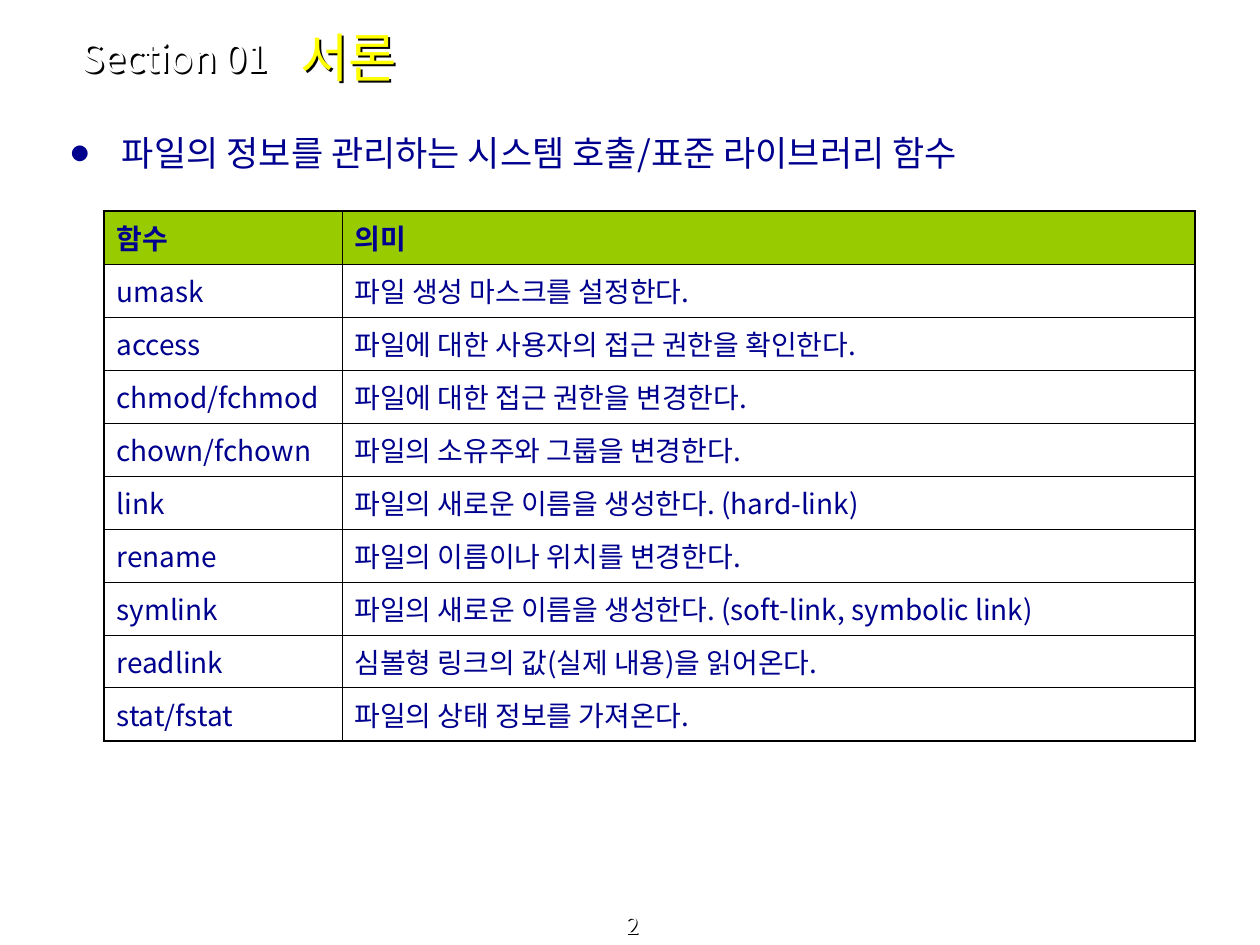
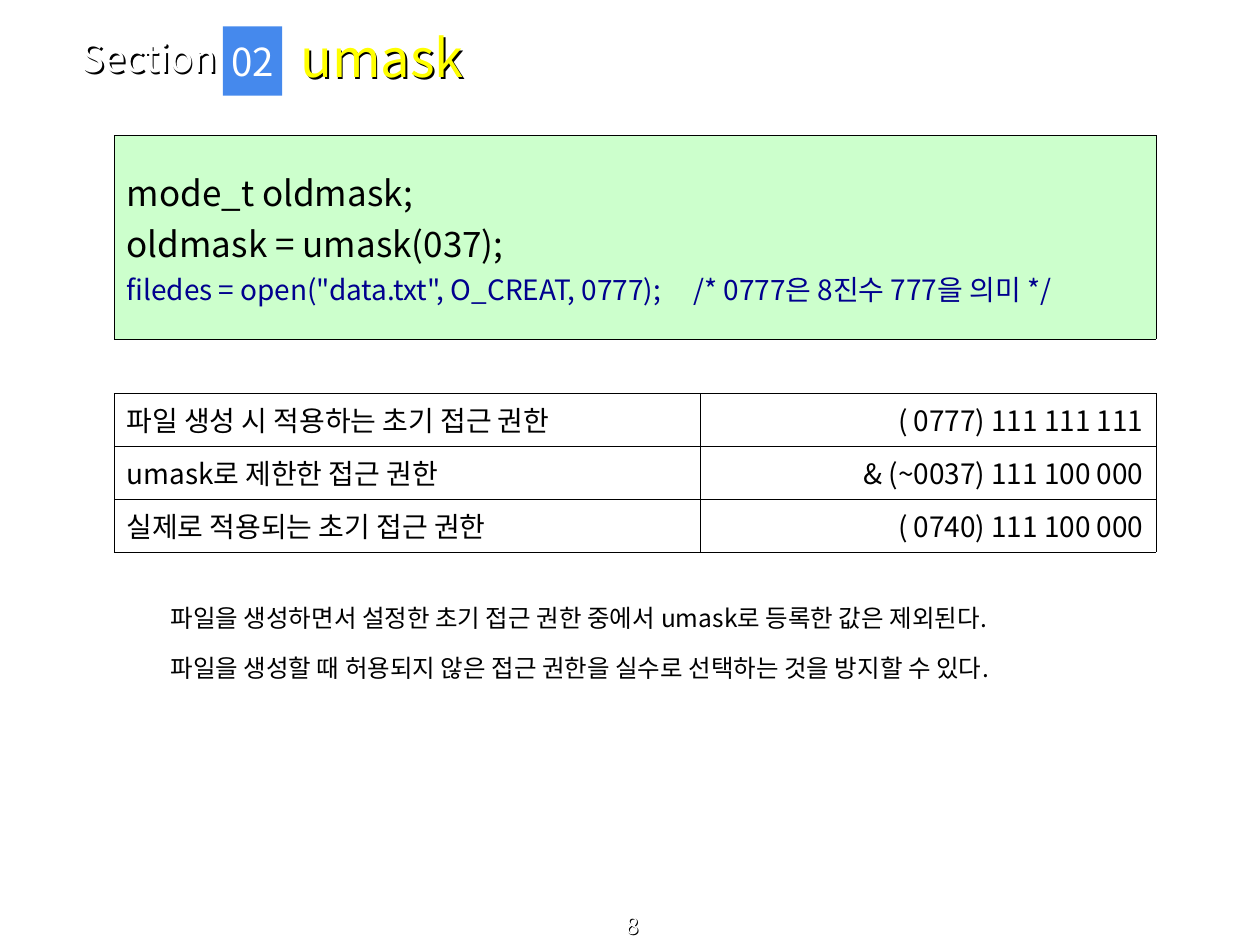
from dataclasses import dataclass
from typing import NamedTuple

from lxml import etree
from pptx import Presentation
from pptx.dml.color import RGBColor
from pptx.enum.shapes import MSO_SHAPE
from pptx.enum.text import MSO_ANCHOR, PP_ALIGN
from pptx.oxml import parse_xml
from pptx.oxml.ns import nsdecls, qn
from pptx.util import Emu, Inches, Pt

RECT = MSO_SHAPE.RECTANGLE
TOP, MID, LOW = MSO_ANCHOR.TOP, MSO_ANCHOR.MIDDLE, MSO_ANCHOR.BOTTOM
LEFT, MIDDLE = PP_ALIGN.LEFT, PP_ALIGN.CENTER
RIGHT, JUST = PP_ALIGN.RIGHT, PP_ALIGN.JUSTIFY

WIDE, HIGH = Inches(10), Inches(7.5)
FACE = "Noto Sans CJK KR"
WHITE, BLACK, NAVY, YELLOW = "FFFFFF", "000000", "00008E", "FFFF00"
LIME, MINT, BLUE = "99CC00", "CCFFCC", "4589ED"


class Box(NamedTuple):
    """Place on the slide, in percent of its width and height."""
    left: float
    top: float
    wide: float
    high: float


@dataclass(frozen=True)
class Style:
    size: float
    color: str = BLACK
    bold: bool = False
    align: PP_ALIGN = LEFT
    lead: float = 1.0
    gap: float = 0  # points between paragraphs


@dataclass(frozen=True)
class Line:
    text: str
    style: Style


@dataclass(frozen=True)
class Grid:
    """A table: column widths and row height in percent, rules in points."""
    left: float
    top: float
    cols: tuple[float, ...]
    row: float
    outer: float
    inner: float
    anchor: MSO_ANCHOR


LABEL = Style(22, WHITE)
TITLE = Style(30, YELLOW)
PAGE = Style(13, WHITE, align=MIDDLE)
BADGE = Style(22, WHITE, align=MIDDLE)
POINT = Style(20, NAVY)
HEAD = Style(16, NAVY, bold=True)
ITEM = Style(16, NAVY)
CODE = Style(20, align=JUST)
OPEN = Style(16, NAVY, align=JUST)
NAME = Style(16, align=JUST)
BITS = Style(16, align=RIGHT)
NOTE = Style(14, lead=1.5, gap=3.5)

CALLS = [
    ("umask", "파일 생성 마스크를 설정한다."),
    ("access", "파일에 대한 사용자의 접근 권한을 확인한다."),
    ("chmod/fchmod", "파일에 대한 접근 권한을 변경한다."),
    ("chown/fchown", "파일의 소유주와 그룹을 변경한다."),
    ("link", "파일의 새로운 이름을 생성한다. (hard-link)"),
    ("rename", "파일의 이름이나 위치를 변경한다."),
    ("symlink", "파일의 새로운 이름을 생성한다. (soft-link, symbolic link)"),
    ("readlink", "심볼형 링크의 값(실제 내용)을 읽어온다."),
    ("stat/fstat", "파일의 상태 정보를 가져온다."),
]
MODES = [
    ("파일 생성 시 적용하는 초기 접근 권한", "( 0777) 111 111 111"),
    ("umask로 제한한 접근 권한", "& (~0037) 111 100 000"),
    ("실제로 적용되는 초기 접근 권한", "( 0740) 111 100 000"),
]


def rgb(code: str) -> RGBColor:
    return RGBColor.from_string(code)


def across(share: float) -> Emu:
    return Emu(round(WIDE * share / 100))


def down(share: float) -> Emu:
    return Emu(round(HIGH * share / 100))


def place(box: Box) -> tuple[Emu, Emu, Emu, Emu]:
    return across(box.left), down(box.top), across(box.wide), down(box.high)


def assign(target, values: dict) -> None:
    for name, value in values.items():
        setattr(target, name, value)


def dress(run, style: Style) -> None:
    assign(run.font, {"name": FACE, "size": Pt(style.size), "bold": style.bold})
    run.font.color.rgb = rgb(style.color)
    run.font._element.find(qn("a:latin")).addnext(
        parse_xml(f'<a:ea {nsdecls("a")} typeface="{FACE}"/>'))


def write(frame, lines: list[Line]) -> None:
    for index, line in enumerate(lines):
        para = frame.add_paragraph() if index else frame.paragraphs[0]
        assign(para, {"alignment": line.style.align,
                      "line_spacing": line.style.lead,
                      "space_before": Pt(line.style.gap if index else 0)})
        run = para.add_run()
        run.text = line.text
        dress(run, line.style)


def add_text(slide, box: Box, lines: list[Line], anchor: MSO_ANCHOR = TOP):
    shape = slide.shapes.add_textbox(*place(box))
    assign(shape.text_frame, {"word_wrap": True, "vertical_anchor": anchor})
    write(shape.text_frame, lines)
    return shape


def add_shadow(shape) -> None:
    """Cast a dark shadow from the letters of an unfilled box."""
    shape._element.spPr.append(parse_xml(
        f'<a:effectLst {nsdecls("a")}><a:outerShdw dist="{Pt(1.4)}" dir="2700000">'
        f'<a:srgbClr val="{BLACK}"/></a:outerShdw></a:effectLst>'))


def add_bullet(para, mark: str, color: str) -> None:
    props = para._p.get_or_add_pPr()
    props.set("marL", str(Inches(0.54)))
    props.set("indent", str(Inches(-0.4)))
    color_tag = etree.SubElement(props, qn("a:buClr"))
    etree.SubElement(color_tag, qn("a:srgbClr"), val=color)
    etree.SubElement(props, qn("a:buSzPct"), val="50000")
    etree.SubElement(props, qn("a:buFont"), typeface=FACE)
    etree.SubElement(props, qn("a:buChar"), char=mark)


def add_tab(para, stop: float) -> None:
    tabs = etree.SubElement(para._p.get_or_add_pPr(), qn("a:tabLst"))
    etree.SubElement(tabs, qn("a:tab"), pos=str(across(stop)), algn="l")


def rule(cell, widths: dict[str, float]) -> None:
    """Draw the cell's borders, given as side and width in points."""
    props = cell._tc.get_or_add_tcPr()
    for index, (side, width) in enumerate(widths.items()):
        props.insert(index, parse_xml(
            f'<a:ln{side} {nsdecls("a")} w="{Pt(width)}"><a:solidFill>'
            f'<a:srgbClr val="{BLACK}"/></a:solidFill></a:ln{side}>'))


def add_grid(slide, grid: Grid, rows: list[list[list[Line]]], fill: str = ""):
    """Add a table of cells; fill colours its first row."""
    box = Box(grid.left, grid.top, sum(grid.cols), grid.row * len(rows))
    table = slide.shapes.add_table(len(rows), len(grid.cols), *place(box)).table
    assign(table, {"first_row": False, "horz_banding": False})
    for col, wide in zip(table.columns, grid.cols):
        col.width = across(wide)
    last_row, last_col = len(rows) - 1, len(grid.cols) - 1
    for r, cells in enumerate(rows):
        table.rows[r].height = down(grid.row)
        for c, lines in enumerate(cells):
            cell = table.cell(r, c)
            cell.vertical_anchor = grid.anchor
            write(cell.text_frame, lines)
            if fill and r == 0:
                cell.fill.solid()
                cell.fill.fore_color.rgb = rgb(fill)
            else:
                cell.fill.background()
            edges = {"L": c == 0, "R": c == last_col, "T": r == 0, "B": r == last_row}
            rule(cell, {side: grid.outer if edge else grid.inner
                        for side, edge in edges.items()})
    return table


def pair(texts: tuple[str, str], first: Style, second: Style) -> list[list[Line]]:
    return [[Line(texts[0], first)], [Line(texts[1], second)]]


def add_page(deck, label: str, title: str, page: int):
    """Add a slide with section label, title and page number."""
    slide = deck.slides.add_slide(deck.slide_layouts[6])
    for box, line, anchor in (
        (Box(0.2, 97.07, 100, 2.93), Line(str(page), PAGE), LOW),
        (Box(5.5, 3.6, 19.3, 4.93), Line(label, LABEL), MID),
        (Box(22.85, 1.47, 64.9, 9.07), Line(title, TITLE), MID),
    ):
        add_shadow(add_text(slide, box, [line], anchor))
    return slide


def add_badge(slide, text: str) -> None:
    badge = slide.shapes.add_shape(RECT, *place(Box(17.7, 2.8, 4.7, 7.33)))
    badge.shadow.inherit = False
    badge.fill.solid()
    badge.fill.fore_color.rgb = rgb(BLUE)
    badge.line.fill.background()
    assign(badge.text_frame, {"word_wrap": False, "vertical_anchor": MID})
    write(badge.text_frame, [Line(text, BADGE)])


def build_intro(deck) -> None:
    slide = add_page(deck, "Section 01", "서론", 2)
    topic = "파일의 정보를 관리하는 시스템 호출/표준 라이브러리 함수"
    body = add_text(slide, Box(3.3, 13.27, 93.3, 7.33), [Line(topic, POINT)])
    add_bullet(body.text_frame.paragraphs[0], "●", NAVY)
    rows = [pair(("함수", "의미"), HEAD, HEAD)]
    rows += [pair(call, ITEM, ITEM) for call in CALLS]
    add_grid(slide, Grid(8.25, 22.33, (18.9, 67.7), 5.61, 1.08, 0.45, TOP), rows, LIME)


def build_umask(deck) -> None:
    slide = add_page(deck, "Section", "umask", 8)
    add_badge(slide, "02")
    code = [
        Line("mode_t oldmask;", CODE),
        Line("oldmask = umask(037);", CODE),
        Line('filedes = open("data.txt", O_CREAT, 0777);\t/* 0777은 8진수 777을 의미 */', OPEN),
    ]
    table = add_grid(slide, Grid(9.05, 14.3, (82.7,), 21.6, 0.06, 0.06, MID), [[code]], MINT)
    add_tab(table.cell(0, 0).text_frame.paragraphs[-1], 45)
    add_grid(slide, Grid(9.05, 41.6, (46.5, 36.2), 5.6, 0.06, 0.06, MID),
             [pair(mode, NAME, BITS) for mode in MODES])
    add_text(slide, Box(12.55, 61.6, 78.4, 13.6), [
        Line("파일을 생성하면서 설정한 초기 접근 권한 중에서 umask로 등록한 값은 제외된다.", NOTE),
        Line("파일을 생성할 때 허용되지 않은 접근 권한을 실수로 선택하는 것을 방지할 수 있다.", NOTE),
    ])


def main() -> None:
    deck = Presentation()
    assign(deck, {"slide_width": WIDE, "slide_height": HIGH})
    build_intro(deck)
    build_umask(deck)
    deck.save("out.pptx")


if __name__ == "__main__":
    main()
